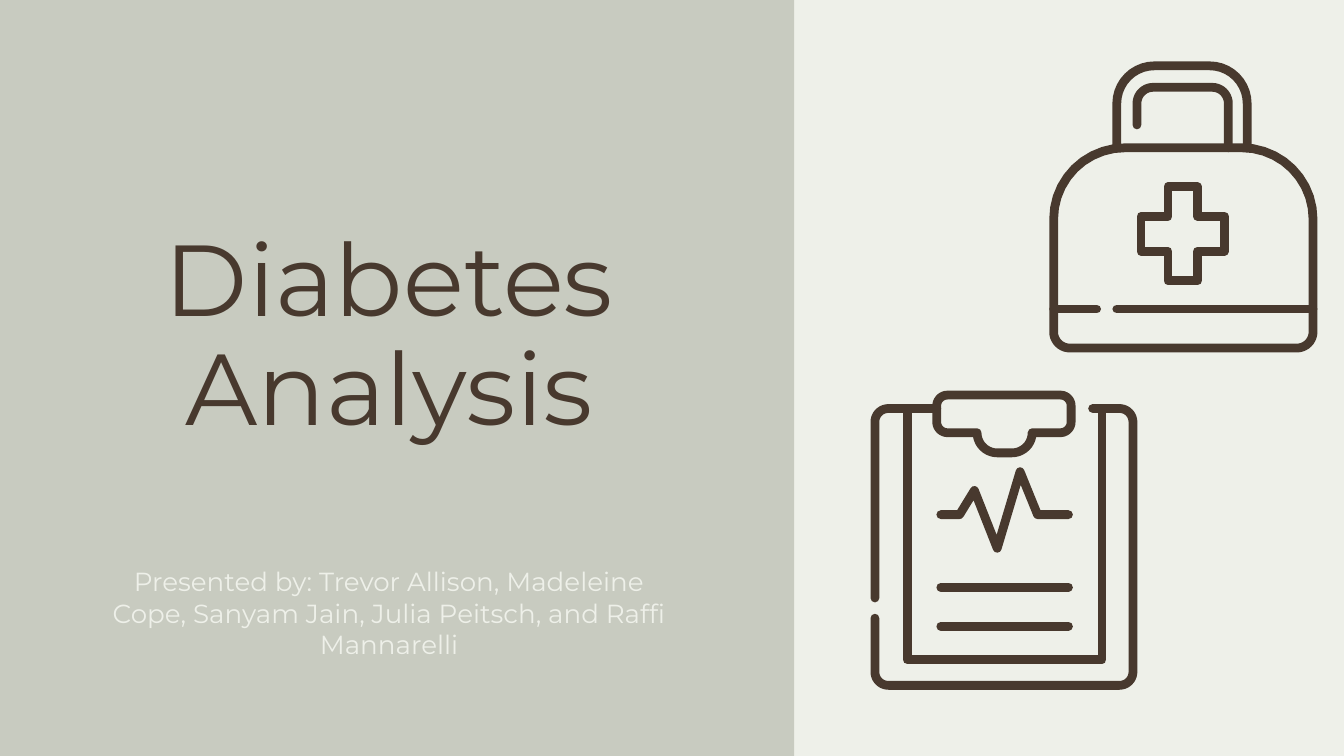
import math

from pptx import Presentation
from pptx.dml.color import RGBColor
from pptx.enum import shapes, text
from pptx.oxml import ns, xmlchemy
from pptx.util import Inches, Pt

BROWN = RGBColor(0x48, 0x39, 0x2E)
SAGE = RGBColor(0xB1, 0xB4, 0xA6)
IVORY = RGBColor(0xEE, 0xF0, 0xE9)
FONT = "Montserrat"
STROKE = Pt(4.7)
ARC_STEPS = 10


def add_panel(page):
    panel = page.shapes.add_shape(
        shapes.MSO_SHAPE.RECTANGLE, 0, 0, Inches(5.91), Inches(5.625))
    panel.shadow.inherit = False
    panel.fill.solid()
    panel.fill.fore_color.rgb = SAGE
    panel.line.fill.background()
    color = panel.element.spPr.find(ns.qn("a:solidFill"))[0]
    alpha = xmlchemy.OxmlElement("a:alpha")
    alpha.set("val", "61000")
    color.append(alpha)


def add_text(page, left, top, width, height, words, size, color, anchor, spacing=1.0):
    box = page.shapes.add_textbox(
        Inches(left), Inches(top), Inches(width), Inches(height))
    frame = box.text_frame
    frame.word_wrap = True
    frame.vertical_anchor = anchor
    frame.margin_left = frame.margin_right = Inches(0.1)
    frame.margin_top = frame.margin_bottom = Inches(0.1)
    frame.text = words
    para = frame.paragraphs[0]
    para.alignment = text.PP_ALIGN.CENTER
    para.line_spacing = spacing
    font = para.runs[0].font
    font.name = FONT
    font.size = Pt(size)
    font.color.rgb = color


def toward(start, end, distance):
    ratio = distance / math.dist(start, end)
    return [a + (b - a) * ratio for a, b in zip(start, end)]


def round_corners(corners):
    """Turn (x, y[, radius]) corners into points, with arcs where a radius is given."""
    points = []
    for i, (x, y, *radius) in enumerate(corners):
        if not radius:
            points.append((x, y))
            continue
        before = toward((x, y), corners[i - 1][:2], radius[0])
        after = toward((x, y), corners[(i + 1) % len(corners)][:2], radius[0])
        for step in range(ARC_STEPS + 1):
            angle = math.pi / 2 * step / ARC_STEPS
            s, c = 1 - math.sin(angle), 1 - math.cos(angle)
            points.append((x + (before[0] - x) * s + (after[0] - x) * c,
                           y + (before[1] - y) * s + (after[1] - y) * c))
    return points


def add_outline(page, *strokes, closed=()):
    """Draw open strokes and closed loops as one line drawing with round ends."""
    contours = [(stroke, False) for stroke in strokes]
    contours += [(loop, True) for loop in closed]
    builder = None
    for corners, close in contours:
        points = [(Inches(x), Inches(y)) for x, y in round_corners(corners)]
        if builder is None:
            builder = page.shapes.build_freeform(*points[0])
        else:
            builder.move_to(*points[0])
        builder.add_line_segments(points[1:], close=close)
    outline = builder.convert_to_shape()
    outline.shadow.inherit = False
    outline.fill.background()
    outline.line.color.rgb = BROWN
    outline.line.width = STROKE
    line = outline.element.spPr.find(ns.qn("a:ln"))
    line.set("cap", "rnd")
    line.append(xmlchemy.OxmlElement("a:round"))


def add_clipboard(page):
    clip = [(6.97, 2.94, 0.08), (7.97, 2.94, 0.08), (7.97, 3.22, 0.08), (7.68, 3.22),
            (7.68, 3.37, 0.15), (7.27, 3.37, 0.15), (7.27, 3.22), (6.97, 3.22, 0.08)]
    board_left = [(6.97, 3.04), (6.51, 3.04, 0.1), (6.51, 4.45)]
    board_right = [(6.51, 4.6), (6.51, 5.1, 0.1), (8.43, 5.1, 0.1),
                   (8.43, 3.04, 0.1), (8.13, 3.04)]
    paper = [(6.75, 3.04), (6.75, 4.91), (8.2, 4.91), (8.2, 3.04)]
    add_outline(page, board_left, board_right, paper, closed=[clip])
    add_outline(page, [(7, 3.83), (7.14, 3.83), (7.25, 3.65), (7.42, 4.08),
                       (7.59, 3.51), (7.72, 3.83), (7.95, 3.83)])
    for y in (4.37, 4.66):
        add_outline(page, [(7, y), (7.95, y)])


def add_medical_bag(page):
    handle = [(8.31, 1.1), (8.31, 0.49, 0.28), (9.28, 0.49, 0.28), (9.28, 1.1)]
    grip = [(8.46, 0.93), (8.46, 0.65, 0.12), (9.14, 0.65, 0.12), (9.14, 1.1)]
    body = [(7.84, 1.1, 0.53), (9.77, 1.1, 0.53), (9.77, 2.59, 0.12), (7.84, 2.59, 0.12)]
    belt = [[(7.84, 2.3), (8.16, 2.3)], [(8.31, 2.3), (9.77, 2.3)]]
    add_outline(page, handle, grip, *belt, closed=[body])

    x, y = 8.8, 1.74
    quarter = [(0.11, 0.35), (0.11, 0.13), (0.31, 0.13)]
    cross = []
    for sx, sy, order in ((1, -1, 1), (1, 1, -1), (-1, 1, 1), (-1, -1, -1)):
        cross += [(x + sx * dx, y + sy * dy) for dx, dy in quarter[::order]]
    add_outline(page, closed=[cross])


def main():
    deck = Presentation()
    deck.slide_width, deck.slide_height = Inches(10), Inches(5.625)
    page = deck.slides.add_slide(deck.slide_layouts[6])
    page.background.fill.solid()
    page.background.fill.fore_color.rgb = IVORY

    add_panel(page)
    add_text(page, 1.08, 0.83, 3.63, 3.38, "Diabetes Analysis", 54, BROWN,
             text.MSO_ANCHOR.MIDDLE, spacing=0.9)
    add_text(page, 0.7, 4.61, 4.39, 0.4,
             "Presented by: Trevor Allison, Madeleine Cope, Sanyam Jain, "
             "Julia Peitsch, and Raffi Mannarelli",
             14, IVORY, text.MSO_ANCHOR.BOTTOM)
    add_clipboard(page)
    add_medical_bag(page)
    deck.save("out.pptx")


if __name__ == "__main__":
    main()
